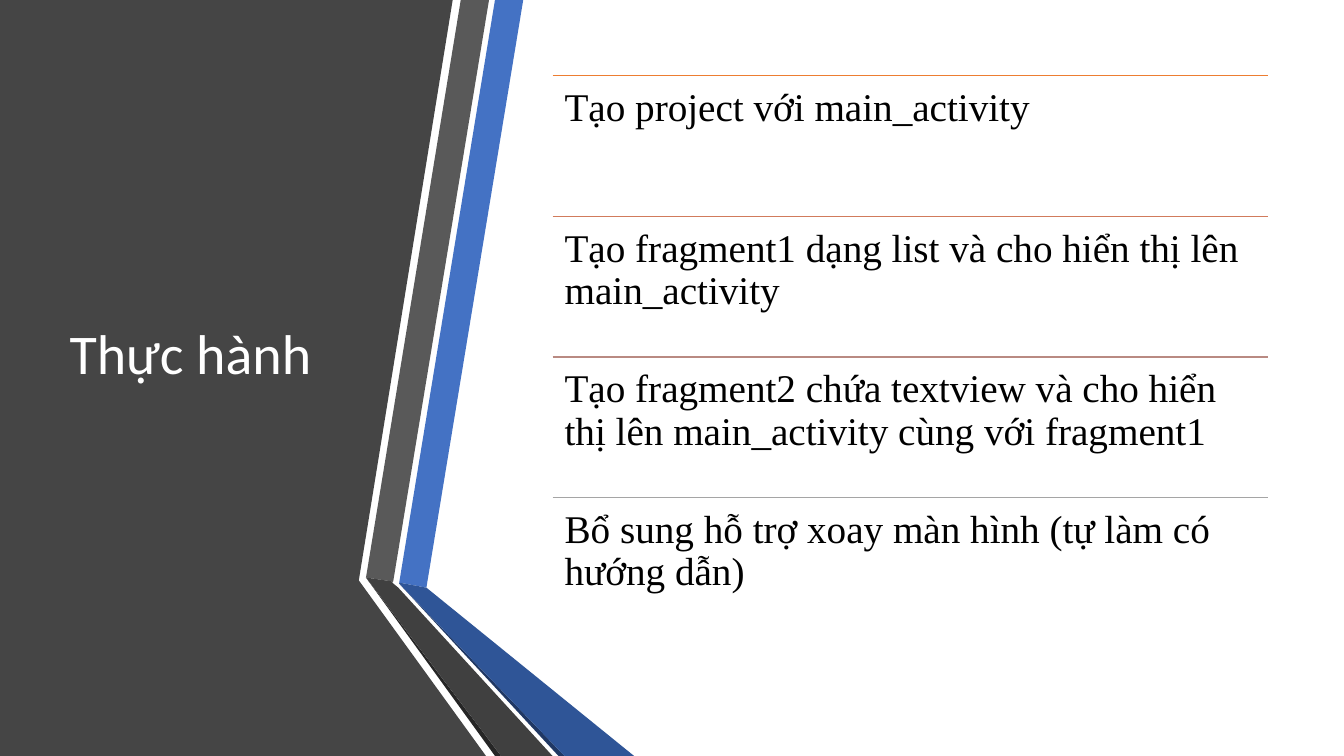
from lxml import etree
from pptx import Presentation
from pptx.dml.color import RGBColor
from pptx.enum.shapes import MSO_CONNECTOR
from pptx.enum.text import MSO_ANCHOR, MSO_AUTO_SIZE, PP_ALIGN
from pptx.oxml.ns import qn
from pptx.util import Inches, Pt

STRAIGHT = MSO_CONNECTOR.STRAIGHT
TOP, MIDDLE = MSO_ANCHOR.TOP, MSO_ANCHOR.MIDDLE
NO_FIT = MSO_AUTO_SIZE.NONE
LEFT = PP_ALIGN.LEFT

COLORS = {
    "panel": "454545",
    "blue": "4472C4",
    "blue_fold": "2F5597",
    "blue_edge": "203864",
    "gray": "595959",
    "gray_fold": "404040",
    "gray_edge": "262626",
    "white": "FFFFFF",
    "black": "000000",
    "rule_1": "ED7D31",
    "rule_2": "D17B5C",
    "rule_3": "B98A82",
    "rule_4": "A5A5A5",
}

FACETS = [
    ("panel", [(0, 0), (4.49, 0), (3.56, 5.75), (3.56, 5.76), (4.82, 7.5), (0, 7.5)]),
    ("blue", [(3.96, 5.78), (4.23, 5.83), (5.19, 0), (4.91, 0)]),
    ("gray", [(4.85, 0), (4.57, 0), (3.63, 5.73), (3.9, 5.77)]),
    ("gray_edge", [(3.63, 5.73), (4.91, 7.5), (4.97, 7.5)]),
    ("blue_edge", [(3.96, 5.79), (5.54, 7.5), (5.6, 7.5)]),
    ("blue_fold", [(3.96, 5.79), (5.6, 7.5), (6.29, 7.5), (4.23, 5.83), (3.96, 5.78)]),
    ("gray_fold", [(5.48, 7.5), (3.95, 5.83), (3.89, 5.78), (3.9, 5.77),
                   (3.63, 5.73), (4.97, 7.5)]),
]

TASKS = [
    ("rule_1", "Tạo project với main_activity"),
    ("rule_2", "Tạo fragment1 dạng list và cho hiển thị lên main_activity"),
    ("rule_3", "Tạo fragment2 chứa textview và cho hiển thị lên main_activity cùng với fragment1"),
    ("rule_4", "Bổ sung hỗ trợ xoay màn hình (tự làm có hướng dẫn)"),
]

LIST_LEFT, LIST_TOP, LIST_WIDTH, LIST_HEIGHT = 5.48, 0.75, 7.1, 5.58


class SlideBuilder:
    title_font = "Calibri"
    body_font = "Times New Roman"
    title_size = 40
    body_size = 28
    inset = 0.12

    def __init__(self, deck):
        self.slide = deck.slides.add_slide(deck.slide_layouts[5])
        self.paint(self.slide.background.fill, "white")

    def paint(self, fill, color):
        fill.solid()
        fill.fore_color.rgb = RGBColor.from_string(COLORS[color])

    def fill_frame(self, frame, text, font, size, color, anchor):
        frame.word_wrap = True
        frame.auto_size = NO_FIT
        frame.vertical_anchor = anchor
        para = frame.paragraphs[0]
        para.alignment = LEFT
        para.line_spacing = 0.9
        span = para.add_run()
        span.text = text
        span.font.name = font
        span.font.size = Pt(size)
        span.font.color.rgb = RGBColor.from_string(COLORS[color])

    def title(self, text, left, top, width, height):
        box = self.slide.shapes.title
        box.left, box.top = Inches(left), Inches(top)
        box.width, box.height = Inches(width), Inches(height)
        self.fill_frame(box.text_frame, text, self.title_font, self.title_size, "white", MIDDLE)
        tree = box._element.getparent()
        tree.append(box._element)

    def facet(self, color, points):
        corners = [(Inches(x), Inches(y)) for x, y in points]
        outline = self.slide.shapes.build_freeform(*corners[0])
        outline.add_line_segments(corners[1:], close=True)
        shape = outline.convert_to_shape()
        shape.shadow.inherit = False
        self.paint(shape.fill, color)
        shape.line.fill.background()

    def rule(self, color, left, top, width):
        line = self.slide.shapes.add_connector(
            STRAIGHT, Inches(left), Inches(top), Inches(left + width), Inches(top))
        line.line.width = Pt(1)
        self.paint(line.line.fill, color)
        etree.SubElement(line._element.spPr, qn("a:effectLst"))

    def text(self, text, left, top, width, height):
        box = self.slide.shapes.add_textbox(
            Inches(left), Inches(top), Inches(width), Inches(height))
        frame = box.text_frame
        frame.margin_left = frame.margin_right = Inches(self.inset)
        frame.margin_top = frame.margin_bottom = Inches(self.inset)
        self.fill_frame(frame, text, self.body_font, self.body_size, "black", TOP)


def main():
    deck = Presentation()
    deck.slide_width, deck.slide_height = Inches(13.33), Inches(7.5)
    page = SlideBuilder(deck)

    for color, points in FACETS:
        page.facet(color, points)

    page.title("Thực hành", 0.59, LIST_TOP, 3.04, LIST_HEIGHT)

    row_height = LIST_HEIGHT / len(TASKS)
    for index, (color, task) in enumerate(TASKS):
        top = LIST_TOP + index * row_height
        page.rule(color, LIST_LEFT, top, LIST_WIDTH)
        page.text(task, LIST_LEFT, top, LIST_WIDTH, row_height)

    deck.save("out.pptx")


if __name__ == "__main__":
    main()
